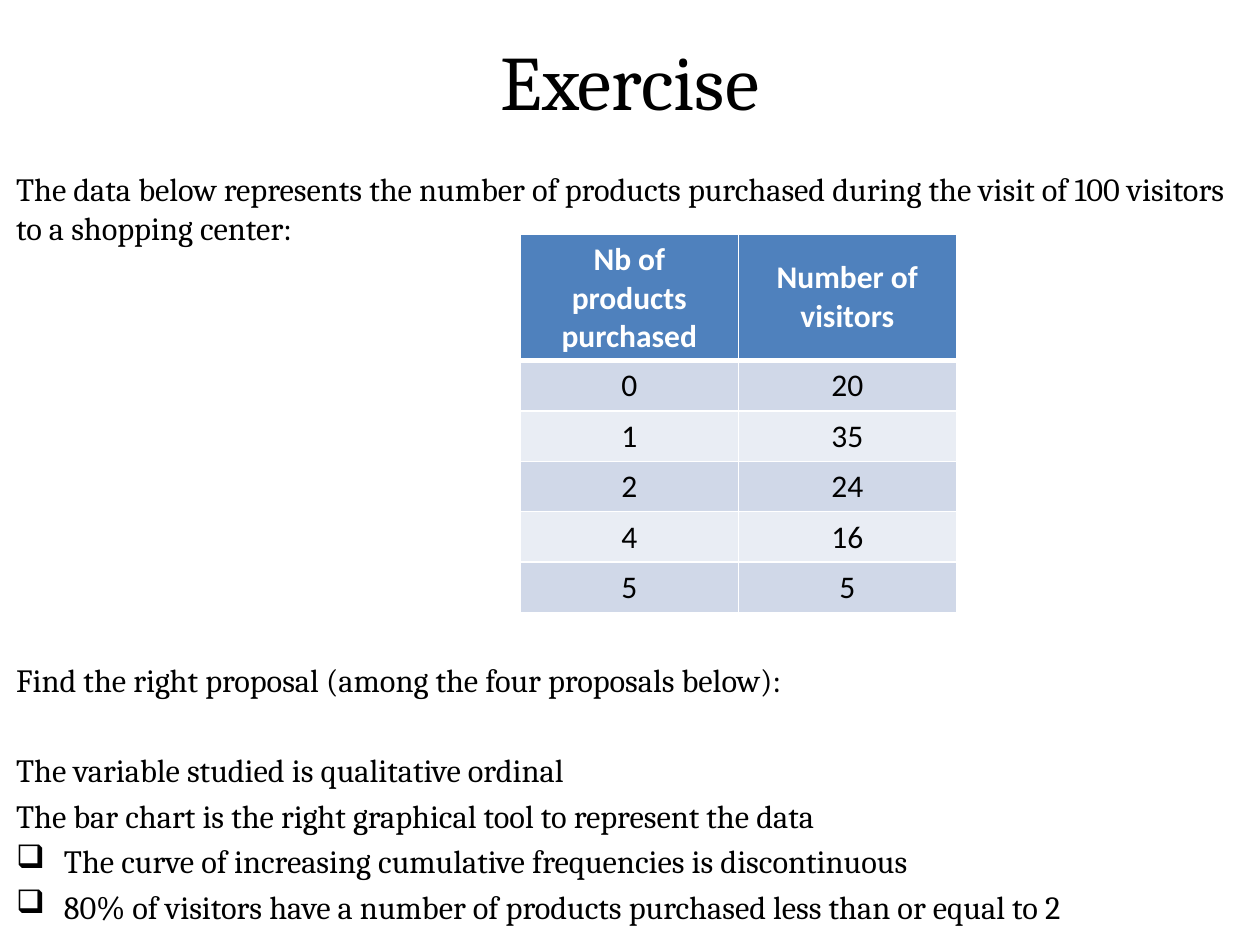
from lxml import etree
from pptx import Presentation
from pptx import util as u
from pptx.dml.color import RGBColor
from pptx.enum import text
from pptx.oxml.ns import qn

BLACK = RGBColor(0x00, 0x00, 0x00)
WHITE = RGBColor(0xFF, 0xFF, 0xFF)
HEADER_BLUE = RGBColor(0x4F, 0x81, 0xBD)
BANDS = (RGBColor(0xD0, 0xD8, 0xE8), RGBColor(0xE9, 0xED, 0xF4))
CENTER = text.PP_ALIGN.CENTER
MIDDLE = text.MSO_ANCHOR.MIDDLE

HEADERS = ("Nb of products purchased", "Number of visitors")
VISITORS = ((0, 20), (1, 35), (2, 24), (4, 16), (5, 5))
STATEMENTS = (
    ("The data below represents the number of products purchased during the "
     "visit of 100 visitors to a shopping center:", 0, False),
    ("Find the right proposal (among the four proposals below):", 236, False),
    ("The variable studied is qualitative ordinal", 29.7, False),
    ("The bar chart is the right graphical tool to represent the data", 3.7, False),
    ("The curve of increasing cumulative frequencies is discontinuous", 3.7, True),
    ("80% of visitors have a number of products purchased less than or equal to 2",
     3.7, True),
)


def write(para, words, size=18.5, font="Cambria", color=BLACK, bold=False,
          align=text.PP_ALIGN.LEFT, before=0):
    """Put formatted words in a paragraph."""
    para.alignment = align
    para.space_before = u.Pt(before)
    span = para.add_run()
    span.text = words
    span.font.size = u.Pt(size)
    span.font.name = font
    span.font.bold = bold
    span.font.color.rgb = color


def add_checkbox(para, indent):
    """Give a paragraph a hanging checkbox bullet."""
    props = para._p.get_or_add_pPr()
    props.set("marL", str(indent))
    props.set("indent", str(-indent))
    etree.SubElement(props, qn("a:buChar"), char="❑")


def set_borders(cell, bottom):
    """Draw white borders of one point, with a chosen width at the bottom."""
    props = cell._tc.get_or_add_tcPr()
    for index, (side, width) in enumerate(
            (("lnL", 1), ("lnR", 1), ("lnT", 1), ("lnB", bottom))):
        line = etree.Element(qn(f"a:{side}"), w=str(u.Pt(width)))
        fill = etree.SubElement(line, qn("a:solidFill"))
        etree.SubElement(fill, qn("a:srgbClr"), val=str(WHITE))
        props.insert(index, line)


def place_title(page, left, top, width, height):
    """Place and format the title."""
    title = page.shapes.title
    title.left, title.top, title.width, title.height = left, top, width, height
    title.text_frame.vertical_anchor = MIDDLE
    write(title.text_frame.paragraphs[0], "Exercise", size=44, align=CENTER)


def place_statements(page, left, top, width, height):
    """Write the introduction above the table and the proposals below it."""
    frame = page.shapes.add_textbox(left, top, width, height).text_frame
    frame.word_wrap = True
    frame.margin_top = u.Inches(0.42)
    for index, (words, before, boxed) in enumerate(STATEMENTS):
        para = frame.add_paragraph() if index else frame.paragraphs[0]
        if boxed:
            add_checkbox(para, u.Inches(0.38))
        write(para, words, before=before)


def place_table(page, left, top, width, height):
    """Place the table of visitors by number of products."""
    rows = (HEADERS,) + VISITORS
    table = page.shapes.add_table(len(rows), len(HEADERS), left, top,
                                  width, height).table
    header_height = u.Inches(1)
    for index, values in enumerate(rows):
        header = index == 0
        table.rows[index].height = (
            header_height if header else (height - header_height) // len(VISITORS))
        for column, value in enumerate(values):
            cell = table.cell(index, column)
            cell.fill.solid()
            cell.fill.fore_color.rgb = (
                HEADER_BLUE if header else BANDS[(index - 1) % 2])
            if header:
                cell.vertical_anchor = MIDDLE
            set_borders(cell, bottom=3 if header else 1)
            write(cell.text_frame.paragraphs[0], str(value), size=18,
                  font="Calibri", color=WHITE if header else BLACK,
                  bold=header, align=CENTER)


def main():
    """Build and save the exercise slide."""
    deck = Presentation()
    deck.slide_width, deck.slide_height = u.Inches(10), u.Inches(7.5)
    page = deck.slides.add_slide(deck.slide_layouts[5])
    regions = (
        (place_title, (0.5, 0.01, 9, 1.25)),
        (place_statements, (0.03, 0.92, 9.97, 6.58)),
        (place_table, (4.13, 1.86, 3.46, 3)),
    )
    for place, box in regions:
        place(page, *map(u.Inches, box))
    deck.save("out.pptx")


if __name__ == "__main__":
    main()
